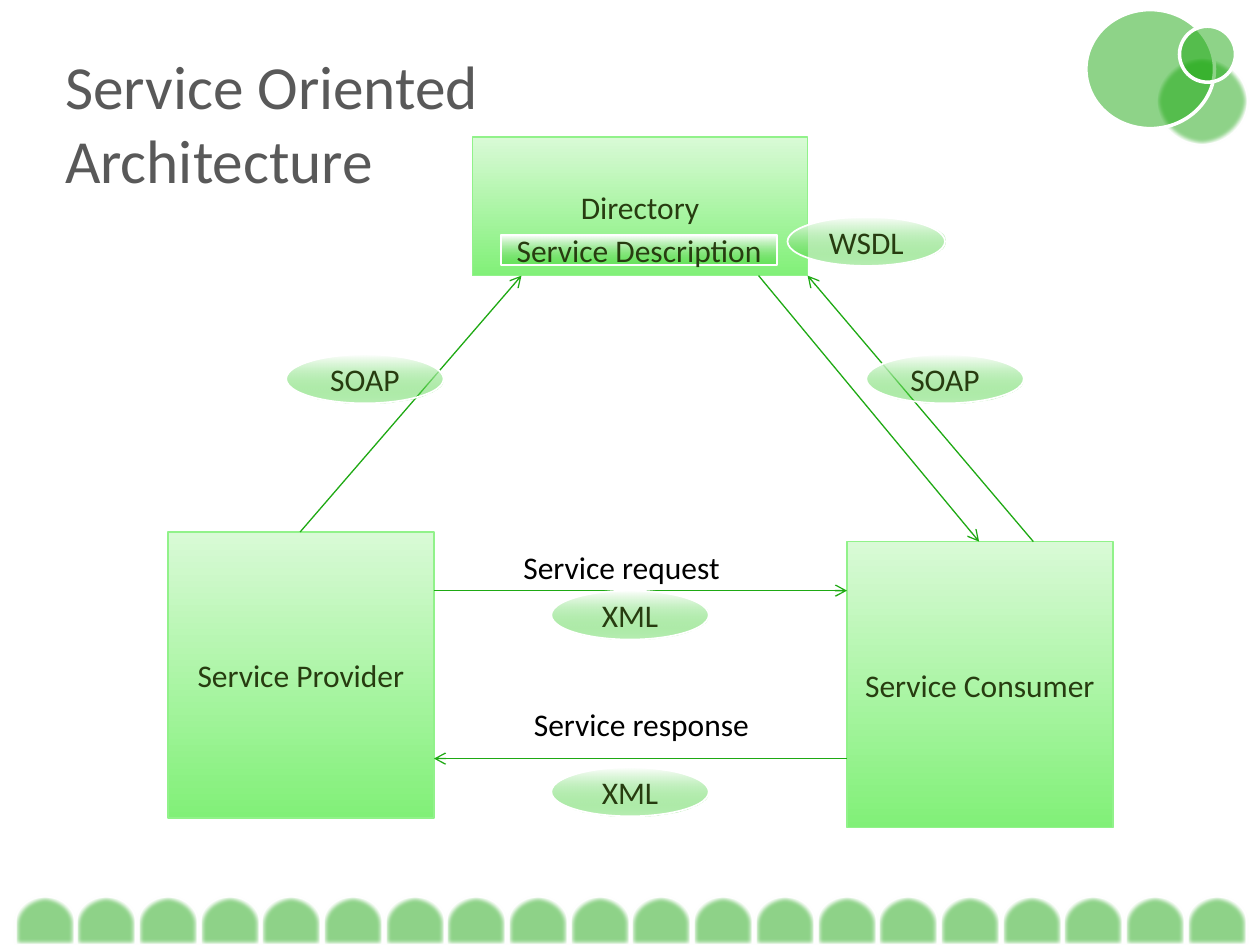
from lxml.etree import SubElement
from pptx import Presentation
from pptx.dml.color import RGBColor
from pptx.enum.shapes import MSO_CONNECTOR, MSO_SHAPE
from pptx.enum.text import MSO_ANCHOR, PP_ALIGN
from pptx.oxml.ns import qn
from pptx.util import Pt

COLORS = {
    "title": "595959", "label": "000000", "node_text": "273C10",
    "box_bottom": "81F078", "box_top": "D9FAD6", "box_line": "91F28A",
    "tag_bottom": "24C916", "white": "FFFFFF", "green": "1EA913",
}
FONT = "Calibri"
SOFT_EDGE = Pt(2.5)


def rgb(name):
    return RGBColor.from_string(COLORS[name])


def set_alpha(element, percent):
    """Make the single colour inside a fill or gradient stop transparent."""
    color = element.find(".//" + qn("a:srgbClr"))
    SubElement(color, qn("a:alpha"), val=str(percent * 1000))


def format_text(tf, size, color, align=PP_ALIGN.LEFT):
    for p in tf.paragraphs:
        p.alignment = align
        for r in p.runs:
            r.font.name = FONT
            r.font.size = Pt(size)
            r.font.color.rgb = rgb(color)


def add_title(s, text, x, y, w, h):
    title = s.shapes.title
    title.left, title.top, title.width, title.height = Pt(x), Pt(y), Pt(w), Pt(h)
    tf = title.text_frame
    tf.text = text
    tf.word_wrap = True
    tf.vertical_anchor = MSO_ANCHOR.TOP
    format_text(tf, 35, "title")


def add_outlined(shapes, kind, x, y, w, h, line, line_width):
    sp = shapes.add_shape(kind, Pt(x), Pt(y), Pt(w), Pt(h))
    sp.shadow.inherit = False
    sp.line.color.rgb = rgb(line)
    sp.line.width = Pt(line_width)
    return sp


def add_node(s, text, kind, x, y, w, h, bottom, top, line, bottom_alpha=100):
    """Add a labelled shape with a gradient running from bottom to top."""
    sp = add_outlined(s.shapes, kind, x, y, w, h, line, 1)
    sp.fill.gradient()
    sp.fill.gradient_angle = 90
    for stop, color, position in zip(sp.fill.gradient_stops, (bottom, top), (0, 1)):
        stop.color.rgb = rgb(color)
        stop.position = position
    if bottom_alpha < 100:
        set_alpha(sp._element.spPr.find(".//" + qn("a:gs")), bottom_alpha)
    tf = sp.text_frame
    tf.text = text
    tf.vertical_anchor = MSO_ANCHOR.MIDDLE
    format_text(tf, 18, "node_text", PP_ALIGN.CENTER)


def add_box(s, text, x, y, w, h):
    add_node(s, text, MSO_SHAPE.RECTANGLE, x, y, w, h,
             "box_bottom", "box_top", "box_line")


def add_tag(s, text, x, y, w=90, h=28, kind=MSO_SHAPE.OVAL):
    add_node(s, text, kind, x, y, w, h, "tag_bottom", "white", "white", 31)


def add_label(s, text, x, y, w, h=29):
    tf = s.shapes.add_textbox(Pt(x), Pt(y), Pt(w), Pt(h)).text_frame
    tf.text = text
    tf.word_wrap = False
    format_text(tf, 18, "label")


def add_arrow(s, x1, y1, x2, y2):
    line = s.shapes.add_connector(MSO_CONNECTOR.STRAIGHT, Pt(x1), Pt(y1), Pt(x2), Pt(y2))
    line.line.color.rgb = rgb("green")
    line.line.width = Pt(0.75)
    SubElement(line.line._get_or_add_ln(), qn("a:tailEnd"), type="arrow")
    SubElement(line._element.spPr, qn("a:effectLst"))


def add_ornament(group, kind, x, y, w, h, soft=False, rotation=0):
    """Add a half-transparent green shape, optionally with soft edges."""
    sp = add_outlined(group.shapes, kind, x, y, w, h, "white", 2)
    sp.fill.solid()
    sp.fill.fore_color.rgb = rgb("green")
    set_alpha(sp._element.spPr.find(qn("a:solidFill")), 50)
    sp.rotation = rotation
    if soft:
        effects = sp._element.spPr.find(qn("a:effectLst"))
        SubElement(effects, qn("a:softEdge"), rad=str(int(SOFT_EDGE)))


def add_arch_row(s, count=20, left=11.5, pitch=35.25):
    row = s.shapes.add_group_shape()
    for i in range(count):
        add_ornament(row, MSO_SHAPE.FLOWCHART_DELAY, left + i * pitch, 509, 28, 34,
                     soft=True, rotation=270)


def add_corner_circles(s):
    corner = s.shapes.add_group_shape()
    add_ornament(corner, MSO_SHAPE.OVAL, 661, 33, 52, 50, soft=True)
    add_ornament(corner, MSO_SHAPE.OVAL, 620.5, 5.5, 73.5, 68)
    add_ornament(corner, MSO_SHAPE.OVAL, 674, 15, 32, 32)


def main():
    prs = Presentation()
    prs.slide_width, prs.slide_height = Pt(720), Pt(540)
    s = prs.slides.add_slide(prs.slide_layouts[5])

    add_title(s, "Service Oriented Architecture", 30, 24, 420, 92)

    add_box(s, "Service Provider", 96, 304, 152, 163.5)
    add_box(s, "Service Consumer", 484, 309.5, 152, 163.5)
    add_arrow(s, 248, 337.5, 484, 337.5)
    add_arrow(s, 484, 433.5, 248, 433.5)
    add_label(s, "Service request", 292, 309.5, 128)
    add_label(s, "Service response", 298, 399.5, 139)

    add_box(s, "Directory", 270, 78.5, 191.5, 79)
    add_tag(s, "Service Description", 286.5, 134.5, 157.5, 17, MSO_SHAPE.RECTANGLE)
    add_arrow(s, 171.5, 304, 298, 157.5)
    add_arrow(s, 433.5, 157.5, 559.5, 309.5)
    add_arrow(s, 590.5, 309.5, 461.5, 157.5)

    for text, x, y in (("WSDL", 450, 124), ("SOAP", 163.5, 202.5), ("SOAP", 495, 202.5),
                       ("XML", 315, 337.5), ("XML", 315, 438.5)):
        add_tag(s, text, x, y)

    add_arch_row(s)
    add_corner_circles(s)
    prs.save("out.pptx")


if __name__ == "__main__":
    main()
